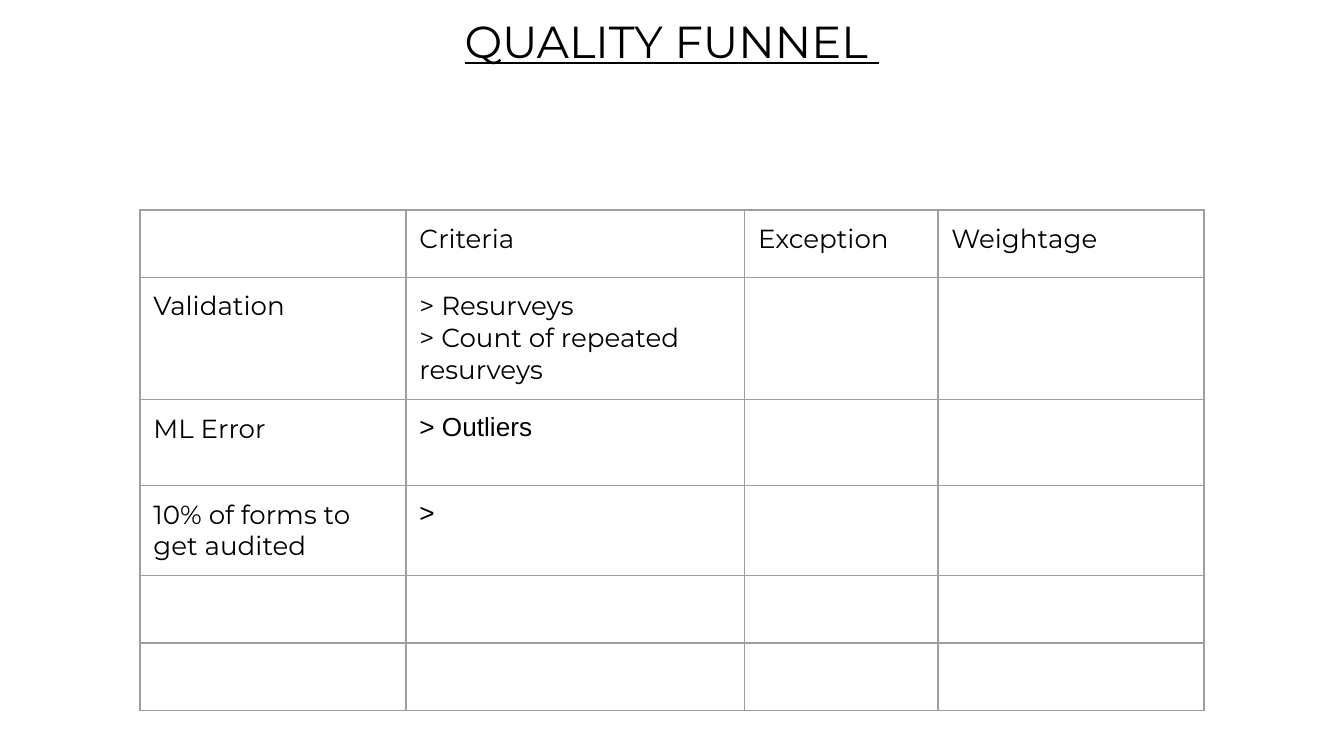
import pptx
import pptx.dml.color
import pptx.enum.text
import pptx.oxml
import pptx.oxml.ns
import pptx.util

Pt = pptx.util.Pt

# Content
TITLE = "QUALITY FUNNEL "
ROWS = [
    ["", "Criteria", "Exception", "Weightage"],
    ["Validation", "> Resurveys \n> Count of repeated resurveys", "", ""],
    ["ML Error", "> Outliers ", "", ""],
    ["10% of forms to get audited", ">", "", ""],
    ["", "", "", ""],
    ["", "", "", ""],
]
ARIAL_CELLS = {(2, 1), (3, 1)}

# Layout and style
SLIDE_W, SLIDE_H = 720, 405
TABLE_LEFT, TABLE_TOP = 75, 112.5
COL_WIDTHS = [142.5, 181.5, 103.5, 142.5]
ROW_HEIGHTS = [34.5, 65.5, 46, 48.5, 34.5, 34.5]
INSET = 7.2
BLACK, GREY = "000000", "9E9E9E"


def rgb(value):
    return pptx.dml.color.RGBColor.from_string(value)


def set_insets(part):
    for side in ("left", "right", "top", "bottom"):
        setattr(part, f"margin_{side}", Pt(INSET))


def write(tf, text, size, font, underline=None):
    tf.text = text
    for p in tf.paragraphs:
        for r in p.runs:
            r.font.size = Pt(size)
            r.font.name = font
            r.font.underline = underline
            r.font.color.rgb = rgb(BLACK)


def add_borders(cell, color, width):
    tcPr = cell._tc.get_or_add_tcPr()
    for i, side in enumerate(("lnL", "lnR", "lnT", "lnB")):
        tcPr.insert(i, pptx.oxml.parse_xml(
            f'<a:{side} {pptx.oxml.ns.nsdecls("a")} w="{Pt(width)}">'
            f'<a:solidFill><a:srgbClr val="{color}"/></a:solidFill></a:{side}>'))


prs = pptx.Presentation()
prs.slide_width, prs.slide_height = Pt(SLIDE_W), Pt(SLIDE_H)
slide = prs.slides.add_slide(prs.slide_layouts[6])

# Title
sp = slide.shapes.add_textbox(0, 0, Pt(SLIDE_W), Pt(SLIDE_H))
tf = sp.text_frame
tf.word_wrap = True
set_insets(tf)
write(tf, TITLE, 24, "Montserrat", True)
tf.paragraphs[0].alignment = pptx.enum.text.PP_ALIGN.CENTER

# Criteria table
table = slide.shapes.add_table(
    len(ROWS), len(COL_WIDTHS), Pt(TABLE_LEFT), Pt(TABLE_TOP),
    Pt(sum(COL_WIDTHS)), Pt(sum(ROW_HEIGHTS))).table
table.first_row = table.horz_banding = False
for column, width in zip(table.columns, COL_WIDTHS):
    column.width = Pt(width)
for row, height in zip(table.rows, ROW_HEIGHTS):
    row.height = Pt(height)

for i, texts in enumerate(ROWS):
    for j, text in enumerate(texts):
        cell = table.cell(i, j)
        set_insets(cell)
        cell.fill.background()
        add_borders(cell, GREY, 0.75)
        if text:
            font = "Arial" if (i, j) in ARIAL_CELLS else "Montserrat"
            write(cell.text_frame, text, 14, font)

prs.save("out.pptx")
